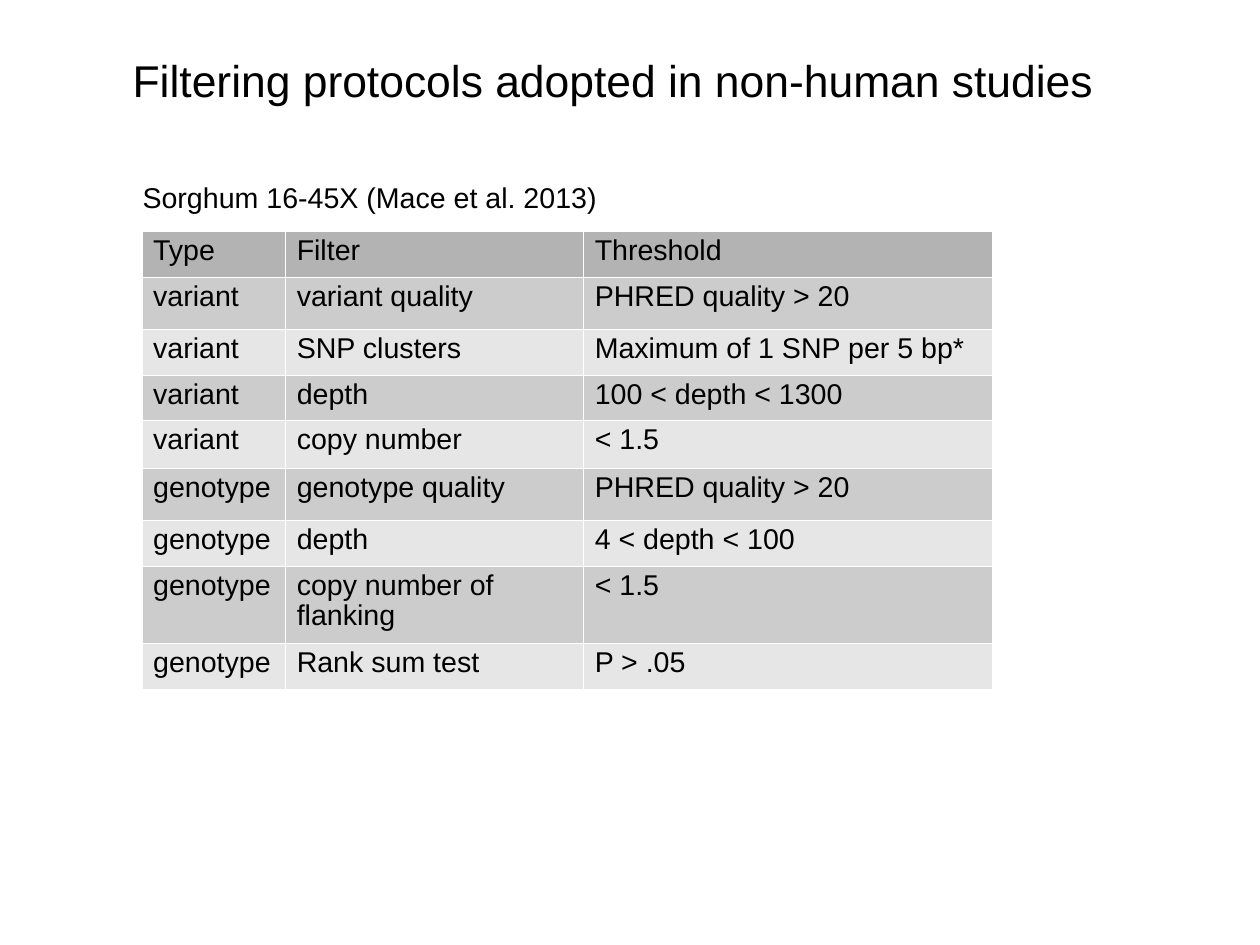
"""Build a slide tabulating variant filtering protocols for sorghum."""
from lxml import etree
from pptx import Presentation
from pptx.dml.color import RGBColor
from pptx.enum.text import MSO_ANCHOR, PP_ALIGN
from pptx.oxml.ns import qn
from pptx.util import Pt

PX = 3175
LEFT, CENTER = PP_ALIGN.LEFT, PP_ALIGN.CENTER
MIDDLE = MSO_ANCHOR.MIDDLE
TITLE_ONLY = 5
HEADER, BANDS = "B3B3B3", ("E6E6E6", "CCCCCC")


def rgb(value):
    return RGBColor.from_string(value)


def write(tf, text, size=18, color="000000", align=LEFT, spacing=0.93):
    tf.word_wrap = True
    p = tf.paragraphs[0]
    p.alignment = align
    p.line_spacing = spacing
    r = p.add_run()
    r.text = text
    r.font.name = "Arial"
    r.font.size = Pt(size)
    r.font.color.rgb = rgb(color)


prs = Presentation()
prs.slide_width, prs.slide_height = 3175 * PX, 2381 * PX
s = prs.slides.add_slide(prs.slide_layouts[TITLE_ONLY])

title = s.shapes.title
title.left, title.top, title.width, title.height = 115 * PX, 6 * PX, 2857 * PX, 397 * PX
tf = title.text_frame
tf.margin_left = tf.margin_right = tf.margin_bottom = 0
tf.margin_top = 9 * PX
tf.vertical_anchor = MIDDLE
write(tf, "Filtering protocols adopted in non-human studies", size=28, align=CENTER)

rows = [
    ("Type", "Filter", "Threshold"),
    ("variant", "variant quality", "PHRED quality > 20"),
    ("variant", "SNP clusters", "Maximum of 1 SNP per 5 bp*"),
    ("variant", "depth", "100 < depth < 1300"),
    ("variant", "copy number", "< 1.5"),
    ("genotype", "genotype quality", "PHRED quality > 20"),
    ("genotype", "depth", "4 < depth < 100"),
    ("genotype", "copy number of flanking", "< 1.5"),
    ("genotype", "Rank sum test", "P > .05"),
]
widths = [362, 751, 1030]
heights = [115, 132, 115, 115, 121, 131, 115, 195, 115]
table = s.shapes.add_table(len(rows), len(widths), 357 * PX, 582 * PX,
                           sum(widths) * PX, sum(heights) * PX).table
table.first_row = table.horz_banding = False
for column, width in zip(table.columns, widths):
    column.width = width * PX

for i, (values, height) in enumerate(zip(rows, heights)):
    table.rows[i].height = height * PX
    for j, text in enumerate(values):
        cell = table.cell(i, j)
        write(cell.text_frame, text)
        tcPr = cell._tc.get_or_add_tcPr()
        for side in ("a:lnL", "a:lnR", "a:lnT", "a:lnB"):
            ln = etree.SubElement(tcPr, qn(side), w="720")
            fill = etree.SubElement(ln, qn("a:solidFill"))
            etree.SubElement(fill, qn("a:srgbClr"), val="FFFFFF")
        cell.fill.solid()
        cell.fill.fore_color.rgb = rgb(BANDS[i % 2] if i else HEADER)

caption = s.shapes.add_textbox(331 * PX, 448 * PX, 1526 * PX, 109 * PX)
caption.text_frame.margin_top = 19 * PX
write(caption.text_frame, "Sorghum 16-45X (Mace et al. 2013)", spacing=0.83)

prs.save("out.pptx")
